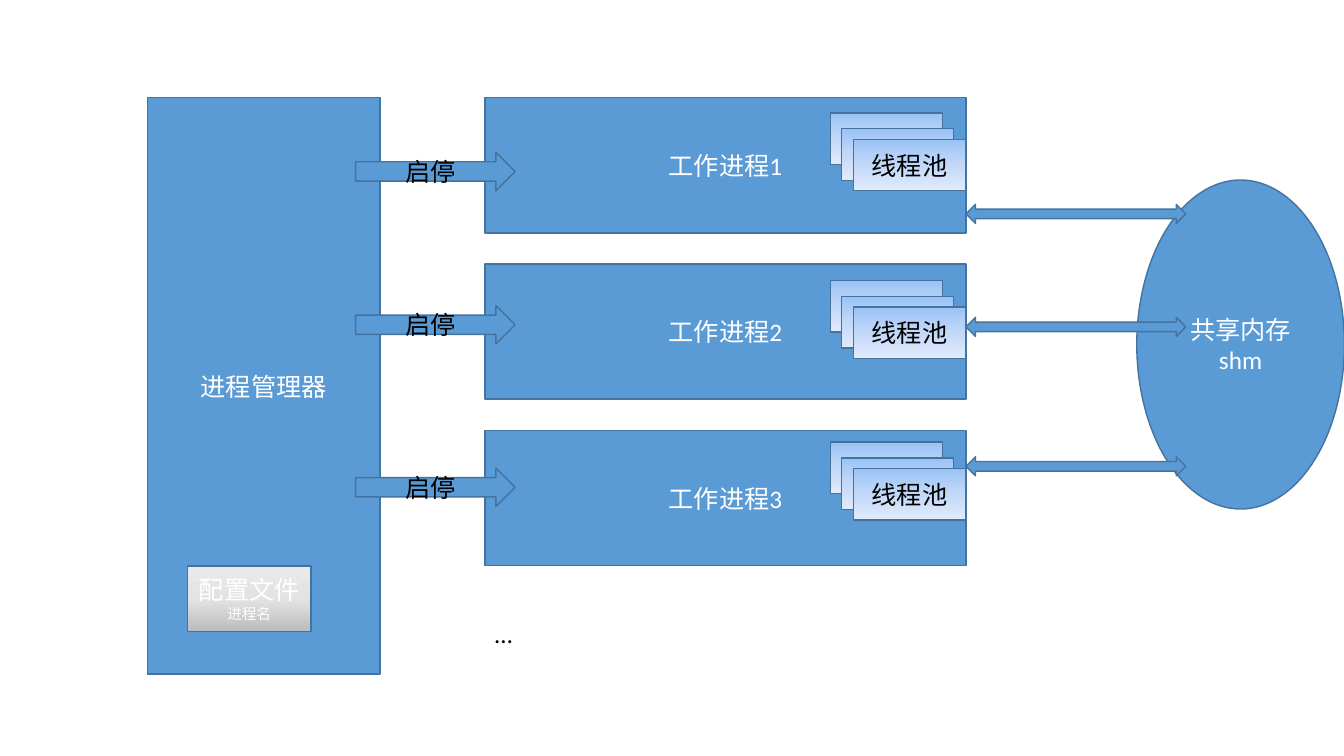
import pptx
import pptx.util
import pptx.dml.color
import pptx.enum.shapes
import pptx.enum.text
import pptx.oxml
import pptx.oxml.ns

Pt = pptx.util.Pt
MSO = pptx.enum.shapes.MSO_SHAPE
FONT = "Calibri"
COLORS = {"blue": "5B9BD5", "line": "43739E", "white": "FFFFFF", "black": "000000"}
GRADIENTS = {
    "config": ("EBEAEA", "E4E3E3", "BDBCBC"),
    "pool": ("9AC3F5", "C2D8F8", "E1EBFB"),
}
POOL_OFFSETS = ((0, 0), (8, 11.3), (16.5, 18.8))


def rgb(name):
    return pptx.dml.color.RGBColor.from_string(COLORS[name])


def set_gradient(sp, stops):
    sp.fill.gradient()
    grad = sp.fill._fill._gradFill
    for child in list(grad):
        grad.remove(child)
    ns = pptx.oxml.ns.nsdecls("a")
    gs = "".join(
        f'<a:gs pos="{i * 50000}"><a:srgbClr val="{c}"/></a:gs>'
        for i, c in enumerate(stops)
    )
    grad.append(pptx.oxml.parse_xml(f"<a:gsLst {ns}>{gs}</a:gsLst>"))
    grad.append(pptx.oxml.parse_xml(f'<a:lin {ns} ang="5400000" scaled="0"/>'))


def set_text(sp, lines, color, sizes=(18,), align=pptx.enum.text.PP_ALIGN.CENTER):
    tf = sp.text_frame
    tf.word_wrap = True
    tf.text = lines
    for i, p in enumerate(tf.paragraphs):
        p.alignment = align
        for r in p.runs:
            r.font.name = FONT
            r.font.size = Pt(sizes[min(i, len(sizes) - 1)])
            r.font.color.rgb = rgb(color)


def add_block(s, kind, box, text="", color="white", sizes=(18,), gradient=None):
    sp = s.shapes.add_shape(kind, *map(Pt, box))
    sp.shadow.inherit = False
    sp.line.color.rgb = rgb("line")
    sp.line.width = Pt(1)
    if gradient:
        set_gradient(sp, GRADIENTS[gradient])
    else:
        sp.fill.solid()
        sp.fill.fore_color.rgb = rgb("blue")
    if text:
        sp.text_frame.vertical_anchor = pptx.enum.text.MSO_ANCHOR.MIDDLE
        set_text(sp, text, color, sizes)


def add_pool(s, left, top):
    for i, (dx, dy) in enumerate(POOL_OFFSETS):
        label = "线程池" if i == len(POOL_OFFSETS) - 1 else ""
        add_block(s, MSO.RECTANGLE, (left + dx, top + dy, 80.2, 36.8),
                  label, "black", gradient="pool")


def add_note(s, box, text):
    sp = s.shapes.add_textbox(*map(Pt, box))
    set_text(sp, text, "black", align=pptx.enum.text.PP_ALIGN.LEFT)


def main():
    prs = pptx.Presentation()
    prs.slide_width, prs.slide_height = Pt(960), Pt(540)
    s = prs.slides.add_slide(prs.slide_layouts[6])

    add_block(s, MSO.RECTANGLE, (105.2, 69.8, 166.4, 411.8), "进程管理器")
    for i in range(3):
        add_block(s, MSO.RECTANGLE, (346.4, 69.8 + i * 118.8, 343.6, 96.6),
                  f"工作进程{i + 1}")
    add_note(s, (346.4, 437.8, 152, 29), "…")
    add_block(s, MSO.RECTANGLE, (133.8, 404.2, 88.4, 46.8), "配置文件\n进程名",
              sizes=(18, 10.5), gradient="config")
    for top in (80.7, 200.5, 315.8):
        add_pool(s, 593, top)
    for top in (108.7, 218.2, 334.3):
        add_block(s, MSO.RIGHT_ARROW, (254, top, 114, 27.6), "启停", "black")
    add_block(s, MSO.OVAL, (812, 128.6, 148.3, 235), "共享内存\nshm")
    for top in (146, 226.7, 326.3):
        add_block(s, MSO.LEFT_RIGHT_ARROW, (690, top, 157, 13.6))

    prs.save("out.pptx")


main()
